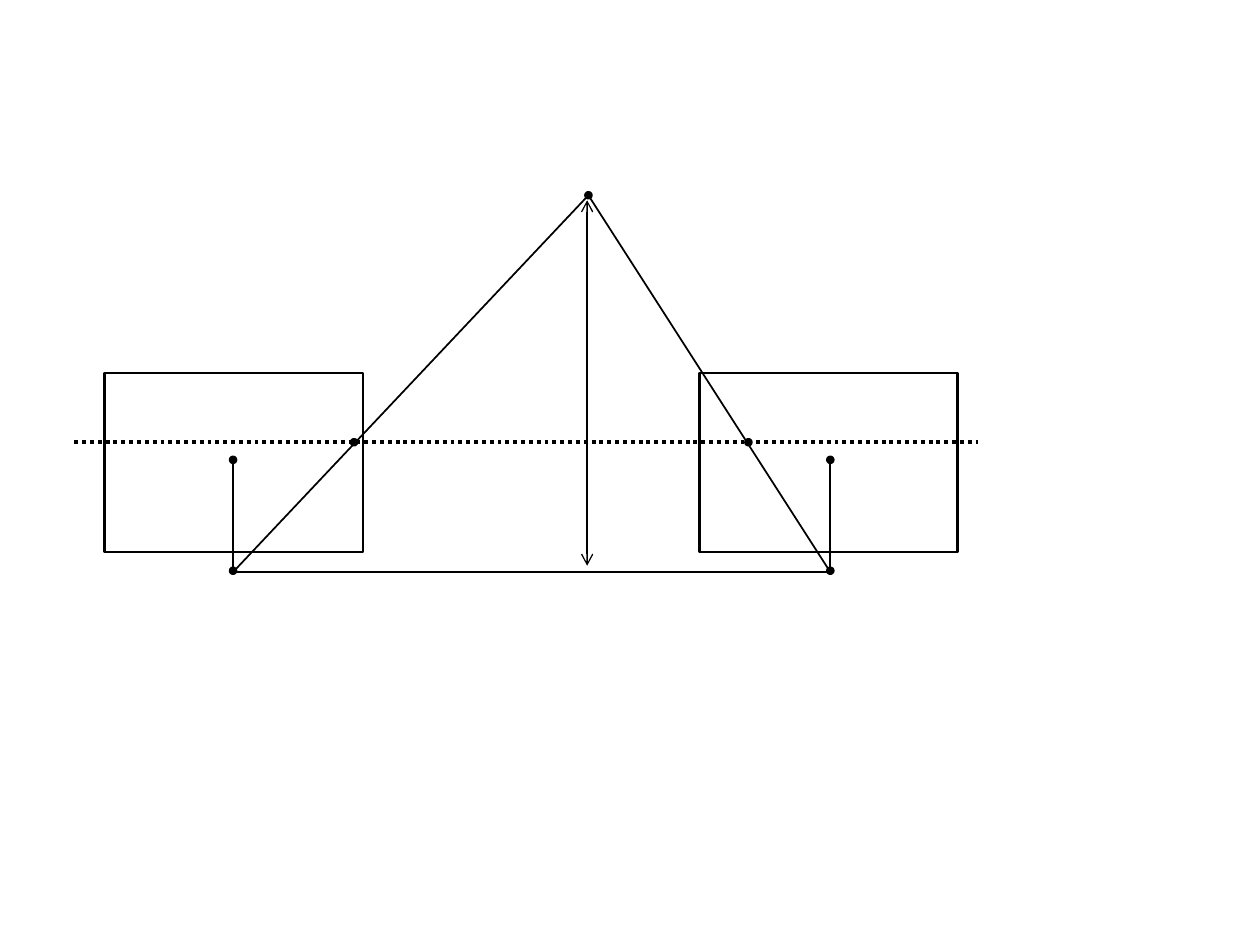
from pptx import Presentation
from pptx.dml.color import RGBColor
from pptx.enum.dml import MSO_LINE as Dash
from pptx.enum.shapes import MSO_CONNECTOR as Conn, MSO_SHAPE as Kind
from pptx.oxml.ns import qn
from pptx.util import Inches, Pt
from lxml.etree import SubElement

BLACK = RGBColor(0, 0, 0)
DOT = 0.04


def add_shape(slide, kind, x, y, w, h, width, fill=None):
    shape = slide.shapes.add_shape(kind, Inches(x), Inches(y), Inches(w), Inches(h))
    shape.shadow.inherit = False
    if fill is None:
        shape.fill.background()
    else:
        shape.fill.solid()
        shape.fill.fore_color.rgb = fill
    shape.line.color.rgb = BLACK
    shape.line.width = Pt(width)
    return shape


def add_line(slide, x1, y1, x2, y2, width):
    line = slide.shapes.add_connector(
        Conn.STRAIGHT, Inches(x1), Inches(y1), Inches(x2), Inches(y2))
    line.line.color.rgb = BLACK
    line.line.width = Pt(width)
    SubElement(line._element.spPr, qn("a:effectLst"))
    return line


def add_dot(slide, x, y):
    add_shape(slide, Kind.OVAL, x - DOT / 2, y - DOT / 2, DOT, DOT, 2, BLACK)


def add_rays(slide, x, y, w, h):
    """Triangle from both camera centres to the scene point."""
    rays = add_shape(slide, Kind.ISOSCELES_TRIANGLE, x, y, w, h, 1)
    rays.adjustments[0] = 0.595
    add_dot(slide, x + 0.595 * w, y)


def add_view(slide, x, y, w, h, axis, hit):
    """Image plane with its optical axis and the projected point."""
    add_shape(slide, Kind.RECTANGLE, x, y, w, h, 1.5)
    add_line(slide, axis, y + 0.71, axis, y + 1.58, 1)
    for dot_x, dot_y in ((hit, 0.55), (axis, 0.69), (axis, 1.57)):
        add_dot(slide, dot_x, y + dot_y)


def add_depth(slide, x, y, h):
    """Double-headed arrow for the depth of the scene point."""
    arrow = add_line(slide, x, y, x, y + h, 0.75)
    ln = arrow.line._get_or_add_ln()
    for end in ("a:headEnd", "a:tailEnd"):
        SubElement(ln, qn(end), type="arrow")


def add_stereo(slide, x, y):
    # Rays and image planes
    add_rays(slide, x + 1.26, y, 4.74, 2.99)
    for left, axis, hit in ((0.24, 1.26, 2.22), (4.96, 6, 5.35)):
        add_view(slide, x + left, y + 1.41, 2.05, 1.42, x + axis, x + hit)
    # Epipolar line
    row = add_line(slide, x, y + 1.96, x + 7.17, y + 1.96, 2.25)
    row.line.dash_style = Dash.ROUND_DOT
    # Depth
    add_depth(slide, x + 4.07, y + 0.04, 2.9)


def main():
    deck = Presentation()
    deck.slide_width, deck.slide_height = Inches(10), Inches(7.5)
    slide = deck.slides.add_slide(deck.slide_layouts[6])
    add_stereo(slide, 0.59, 1.55)
    deck.save("out.pptx")


if __name__ == "__main__":
    main()
